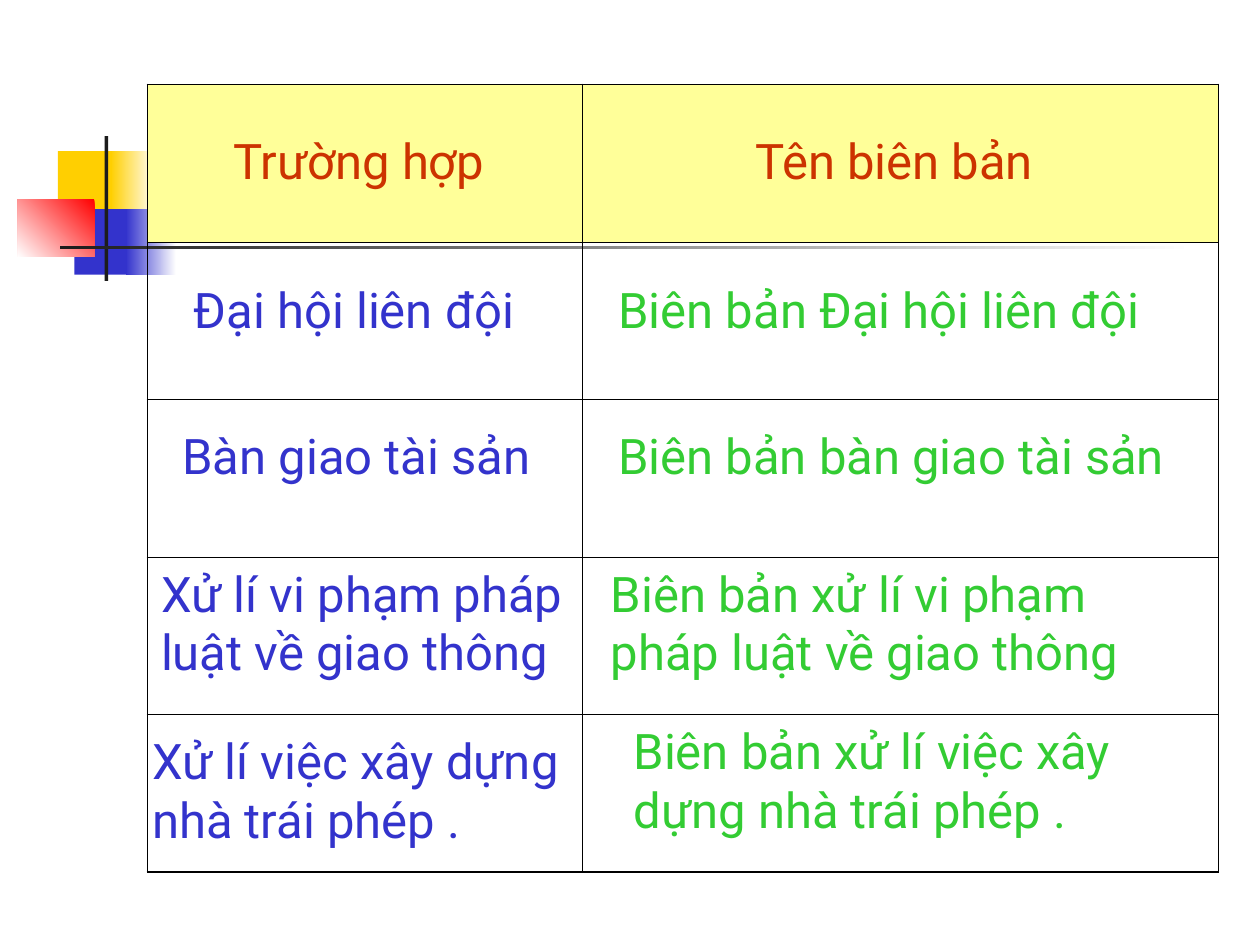
from dataclasses import dataclass

from lxml import etree
from pptx import Presentation
from pptx import util as u
from pptx.dml import color
from pptx.enum import shapes, text
from pptx.oxml import ns

PX = u.Inches(1) // 100  # 100 px to the inch


@dataclass(frozen=True)
class Theme:
    font: str = "Roboto"
    size: int = 28
    space_before: int = 7
    white: str = "FFFFFF"
    yellow: str = "FFCF01"
    blue: str = "3333CC"
    red: str = "FF0000"
    dark: str = "1C1C1C"
    green: str = "33CC33"
    header_text: str = "CC3300"
    header_fill: str = "FFFF99"
    border: str = "000000"
    outer_line: float = 1.08
    inner_line: float = 0.45


def rgb(value):
    return color.RGBColor.from_string(value)


class SlideBuilder:
    def __init__(self, slide, theme):
        self.slide = slide
        self.theme = theme

    def block(self, box, start, end=None, angle=180):
        """Rectangle, plain or with a gradient; angle runs clockwise."""
        bar = self.slide.shapes.add_shape(
            shapes.MSO_SHAPE.RECTANGLE, *(v * PX for v in box))
        bar.shadow.inherit = False
        bar.line.fill.background()
        if end is None:
            bar.fill.solid()
            bar.fill.fore_color.rgb = rgb(start)
            return
        bar.fill.gradient()
        bar.fill.gradient_angle = 360 - angle
        for stop, value in zip(bar.fill.gradient_stops, (start, end)):
            stop.color.rgb = rgb(value)

    def style(self, paragraph, value):
        paragraph.font.name = self.theme.font
        paragraph.font.size = u.Pt(self.theme.size)
        paragraph.font.color.rgb = rgb(value)

    def label(self, box, words, value):
        frame = self.slide.shapes.add_textbox(*(v * PX for v in box)).text_frame
        frame.word_wrap = False
        frame.auto_size = text.MSO_AUTO_SIZE.SHAPE_TO_FIT_TEXT
        frame.paragraphs[0].text = words
        self.style(frame.paragraphs[0], value)

    def borders(self, cell, outer_sides):
        props = cell._tc.get_or_add_tcPr()
        for index, side in enumerate("LRTB"):
            width = self.theme.outer_line if side in outer_sides else self.theme.inner_line
            line = etree.Element(ns.qn(f"a:ln{side}"), w=str(u.Pt(width)))
            fill = etree.SubElement(line, ns.qn("a:solidFill"))
            etree.SubElement(fill, ns.qn("a:srgbClr"), val=self.theme.border)
            props.insert(index, line)

    def grid(self, left, top, widths, row_height, row_count, headings):
        grid = self.slide.shapes.add_table(
            row_count, len(widths), left * PX, top * PX,
            sum(widths) * PX, row_height * row_count * PX).table
        grid.first_row = grid.horz_banding = False
        for column, width in zip(grid.columns, widths):
            column.width = width * PX
        for r in range(row_count):
            for c in range(len(widths)):
                cell = grid.cell(r, c)
                cell.fill.background()
                edges = {"L": c == 0, "R": c == len(widths) - 1,
                         "T": r == 0, "B": r == row_count - 1}
                self.borders(cell, [side for side, outer in edges.items() if outer])
        for c, heading in enumerate(headings):
            cell = grid.cell(0, c)
            cell.fill.solid()
            cell.fill.fore_color.rgb = rgb(self.theme.header_fill)
            cell.vertical_anchor = text.MSO_ANCHOR.MIDDLE
            paragraph = cell.text_frame.paragraphs[0]
            paragraph.text = heading
            paragraph.alignment = text.PP_ALIGN.CENTER
            paragraph.space_before = u.Pt(self.theme.space_before)
            self.style(paragraph, self.theme.header_text)


def main():
    deck = Presentation()
    deck.slide_width, deck.slide_height = 1000 * PX, 750 * PX
    theme = Theme()
    page = SlideBuilder(deck.slides.add_slide(deck.slide_layouts[6]), theme)

    # Corner ornament
    page.block((46, 120, 48, 52), theme.yellow)
    page.block((88, 120, 36, 52), theme.white, theme.yellow)
    page.block((59, 166, 46, 52), theme.blue)
    page.block((100, 166, 40, 52), theme.white, theme.blue)
    page.block((14, 158, 61, 46), theme.red, theme.white, 135)
    page.block((83, 108, 3, 115), theme.dark)
    page.block((48, 195, 900, 3), theme.white, theme.dark)

    # Table frame with its headings
    page.grid(117, 67, (345, 505), 125, 5, ("Trường hợp ", "Tên biên bản "))

    # Situations on the left
    situations = (
        ((144, 217, 301, 57), "Đại hội liên đội"),
        ((135, 333, 321, 57), "Bàn giao tài sản"),
        ((118, 442, 369, 104), "Xử lí vi phạm pháp \nluật về giao thông"),
        ((111, 575, 370, 104), "Xử lí việc xây dựng \nnhà trái phép ."),
    )
    # Names of the minutes on the right
    minutes = (
        ((481, 217, 472, 57), "Biên bản Đại hội liên đội"),
        ((481, 333, 490, 57), "Biên bản bàn giao tài sản"),
        ((475, 442, 464, 104), "Biên bản xử lí vi phạm\npháp luật về giao thông"),
        ((493, 567, 430, 104), "Biên bản xử lí việc xây \ndựng nhà trái phép ."),
    )
    for entries, value in ((situations, theme.blue), (minutes, theme.green)):
        for box, words in entries:
            page.label(box, words, value)

    deck.save("out.pptx")


if __name__ == "__main__":
    main()
